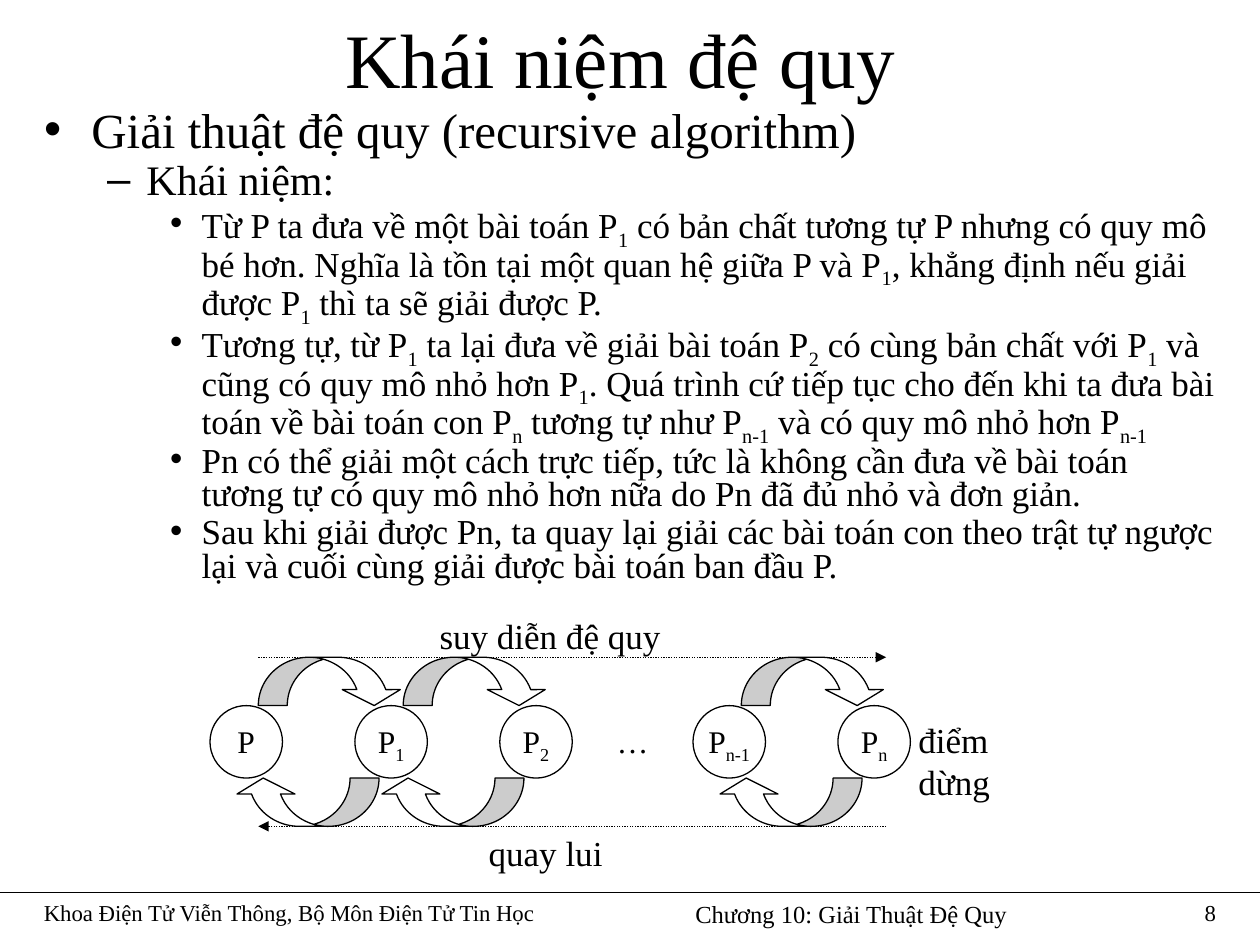
from lxml import etree
from pptx import Presentation
from pptx.dml.color import RGBColor
from pptx.enum.dml import MSO_LINE
from pptx.enum.shapes import MSO_CONNECTOR, MSO_SHAPE
from pptx.enum.text import MSO_ANCHOR, MSO_AUTO_SIZE, PP_ALIGN
from pptx.oxml.ns import qn
from pptx.util import Inches, Pt

LEFT, MID, RIGHT = PP_ALIGN.LEFT, PP_ALIGN.CENTER, PP_ALIGN.RIGHT
OVAL, CURL = MSO_SHAPE.OVAL, MSO_SHAPE.CURVED_DOWN_ARROW
STRAIGHT, DOTS = MSO_CONNECTOR.STRAIGHT, MSO_LINE.ROUND_DOT
FIXED, GROW = MSO_AUTO_SIZE.NONE, MSO_AUTO_SIZE.SHAPE_TO_FIT_TEXT
FONT, BLACK, WHITE = "Times New Roman", "000000", "FFFFFF"

# Content: bars enclose subscripts
TITLE = "Khái niệm đệ quy "
BODY = [
    (0, "Giải thuật đệ quy (recursive algorithm)"),
    (1, "Khái niệm:"),
    (2, "Từ P ta đưa về một bài toán P|1| có bản chất tương tự P nhưng có quy mô "
        "bé hơn. Nghĩa là tồn tại một quan hệ giữa P và P|1|, khẳng định nếu giải "
        "được P|1| thì ta sẽ giải được P."),
    (2, "Tương tự, từ P|1| ta lại đưa về giải bài toán P|2| có cùng bản chất với "
        "P|1| và cũng có quy mô nhỏ hơn P|1|. Quá trình cứ tiếp tục cho đến khi ta "
        "đưa bài toán về bài toán con P|n| tương tự như P|n-1| và có quy mô nhỏ "
        "hơn P|n-1|"),
    (2, "Pn có thể giải một cách trực tiếp, tức là không cần đưa về bài toán tương "
        "tự có quy mô nhỏ hơn nữa do Pn đã đủ nhỏ và đơn giản."),
    (2, "Sau khi giải được Pn, ta quay lại giải các bài toán con theo trật tự ngược "
        "lại và cuối cùng giải được bài toán ban đầu P."),
]
LEVELS = [(28, 3.5), (24, 3), (20, 2.5)]  # size, space before

FOOTER = [  # text, left, width, size, alignment
    ("Chương 10: Giải Thuật Đệ Quy", 5.42, 2.92, 14, LEFT),
    ("Khoa Điện Tử Viễn Thông, Bộ Môn Điện Tử Tin Học", 0.25, 4.67, 13, LEFT),
    ("8", 8.92, 0.83, 13, RIGHT),
]
NODES = [  # text, column, side inset
    ("P", 0, 0.1), ("P|1|", 3, 0.06), ("P|2|", 6, 0.06),
    ("…", 8, 0.06), ("P|n-1|", 10, 0.02), ("P|n|", 13, 0.06),
]
HOPS = [0, 3, 10]  # columns where an arrow starts
BENDS = [0.6, 1.2, 0.33]  # band, head width and head length of an arrow
LABELS = [  # text, left, top, width, height, wrap
    ("quay lui", 3.78, 6.55, 1.72, 0.57, True),
    ("suy diễn đệ quy", 3.39, 4.83, 2.3, 0.57, True),
    ("điểm dừng", 7.19, 5.65, 1.39, 0.44, False),
]

# Grid: the page in twelfths of an inch, the diagram in columns
BASE, HEAD = 85 / 12, 10 / 12
STEP = 4.6 / 12
X0, ROW, NODE = 20 / 12, 5.6, 1.5 * STEP
TOP, FOOT = ROW - STEP, ROW + NODE + STEP


def color(code):
    return RGBColor.from_string(code)


def col_x(col):
    return X0 + col * STEP


def write(par, text, size, align=None):
    for i, part in enumerate(text.split("|")):
        if not part:
            continue
        run = par.add_run()
        run.text = part
        run.font.name, run.font.size = FONT, Pt(size)
        run.font.color.rgb = color(BLACK)
        if i % 2:
            run._r.get_or_add_rPr().set("baseline", "-25000")
    if align is not None:
        par.alignment = align


def place(shape, *box):
    shape.left, shape.top, shape.width, shape.height = map(Inches, box)


def label(text, x, y, w, h, size, align=LEFT, wrap=True):
    box = slide.shapes.add_textbox(*map(Inches, (x, y, w, h)))
    box.text_frame.word_wrap = wrap
    box.text_frame.auto_size = FIXED if wrap else GROW
    write(box.text_frame.paragraphs[0], text, size, align)


def rule(x1, y1, x2, y2, arrow=False):
    line = slide.shapes.add_connector(STRAIGHT, *map(Inches, (x1, y1, x2, y2)))
    line.line.color.rgb, line.line.width = color(BLACK), Pt(0.75)
    if arrow:
        line.line.dash_style = DOTS
        etree.SubElement(line.line._get_or_add_ln(), qn("a:tailEnd"), type="triangle")
    etree.SubElement(line._element.spPr, qn("a:effectLst"))


def draw(kind, x, y, w, h):
    shape = slide.shapes.add_shape(kind, *map(Inches, (x, y, w, h)))
    shape.shadow.inherit = False
    shape.fill.solid()
    shape.fill.fore_color.rgb = color(WHITE)
    shape.line.color.rgb, shape.line.width = color(BLACK), Pt(0.75)
    return shape


prs = Presentation()
prs.slide_width, prs.slide_height = Inches(10), Inches(7.5)
slide = prs.slides.add_slide(prs.slide_layouts[1])

# Footer
rule(0, BASE, 10, BASE)
for text, x, w, size, align in FOOTER:
    label(text, x, BASE, w, 0.33, size, align)

# Title and list
title, body = slide.shapes.title, slide.placeholders[1]
place(title, 0.25, 0.08, 9.5, 0.75)
place(body, 0.25, HEAD, 9.5, 4.17)
for holder in (title, body):
    holder.text_frame.auto_size = FIXED
write(title.text_frame.paragraphs[0], TITLE, 44, MID)
for i, (level, text) in enumerate(BODY):
    par = body.text_frame.add_paragraph() if i else body.text_frame.paragraphs[0]
    size, gap = LEVELS[level]
    par.level, par.line_spacing = level, 0.8
    par.space_before = Pt(gap if i else 0)
    write(par, text, size)

# Nodes
for text, col, pad in NODES:
    node = draw(OVAL, col_x(col), ROW, NODE, NODE)
    if text == "…":
        node.fill.background()
        node.line.fill.background()
    frame = node.text_frame
    frame.margin_left = frame.margin_right = Inches(pad)
    frame.vertical_anchor = MSO_ANCHOR.TOP
    write(frame.paragraphs[0], text, 18, MID)

# Curved arrows: forward above, back below
for shift, y, turn in ((1, TOP, 0), (0.5, ROW + NODE, 180)):
    for col in HOPS:
        arrow = draw(CURL, col_x(col + shift), y, 3 * STEP, STEP)
        arrow.rotation = turn
        for i, bend in enumerate(BENDS):
            arrow.adjustments[i] = bend

# Direction lines and labels
start, end = col_x(1), col_x(14)
rule(start, TOP, end, TOP, True)
rule(end, FOOT, start, FOOT, True)
for text, x, y, w, h, wrap in LABELS:
    label(text, x, y, w, h, 20, wrap=wrap)

prs.save("out.pptx")
